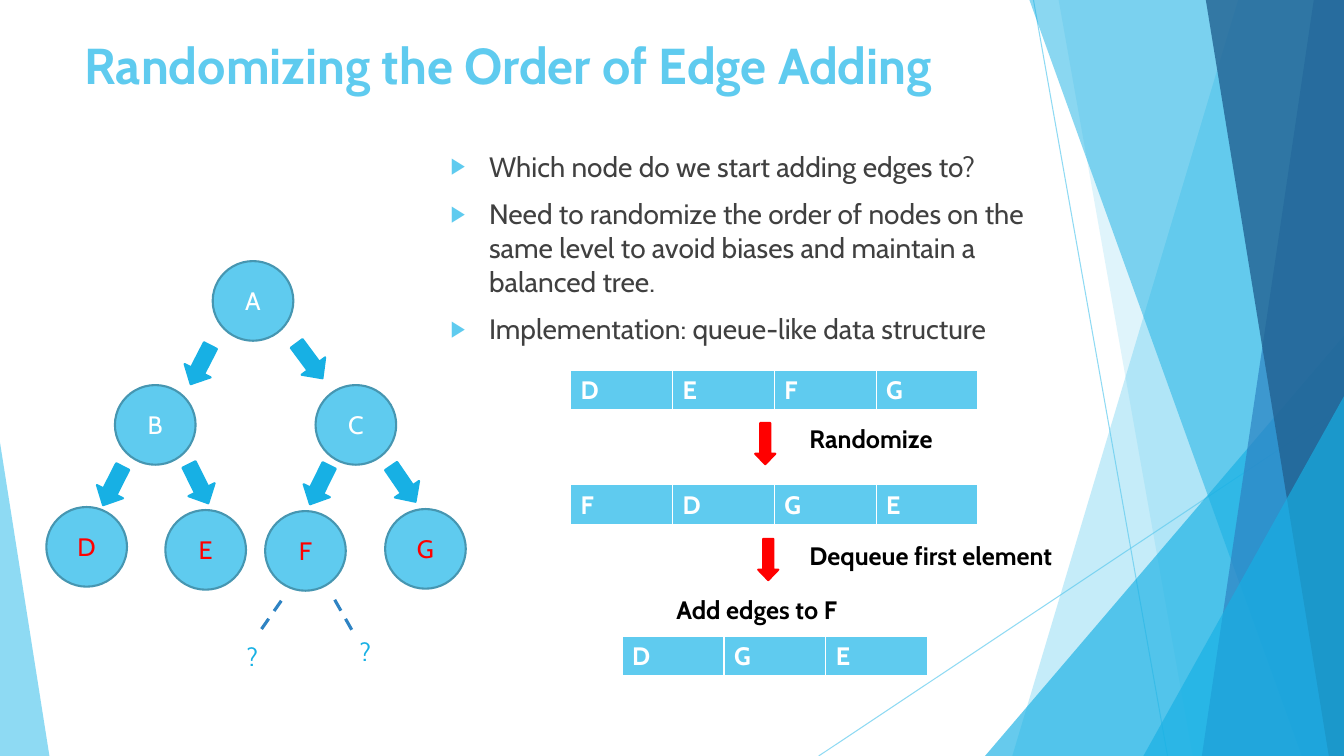
from lxml import etree
from pptx import Presentation
from pptx.dml.color import RGBColor
from pptx.enum.dml import MSO_LINE
from pptx.enum.shapes import MSO_CONNECTOR, MSO_SHAPE
from pptx.enum.text import MSO_ANCHOR, MSO_AUTO_SIZE, PP_ALIGN
from pptx.oxml.ns import qn
from pptx.util import Inches, Pt

CIRCLE = MSO_SHAPE.OVAL
TRIANGLE = MSO_SHAPE.ISOSCELES_TRIANGLE
LEFT_ARROW = MSO_SHAPE.LEFT_ARROW
STRAIGHT = MSO_CONNECTOR.STRAIGHT
DASH = MSO_LINE.DASH
CENTER = PP_ALIGN.CENTER
TOP, MIDDLE = MSO_ANCHOR.TOP, MSO_ANCHOR.MIDDLE
NO_AUTOFIT = MSO_AUTO_SIZE.NONE

SKY = RGBColor(0x5F, 0xCB, 0xEF)
CYAN = RGBColor(0x17, 0xB0, 0xE4)
BLUE = RGBColor(0x2E, 0x83, 0xC3)
NAVY = RGBColor(0x22, 0x62, 0x92)
RIM = RGBColor(0x46, 0x96, 0xB1)
RED = RGBColor(0xFF, 0x00, 0x00)
GRAY = RGBColor(0x40, 0x40, 0x40)
BLACK = RGBColor(0x00, 0x00, 0x00)
WHITE = RGBColor(0xFF, 0xFF, 0xFF)

FONT = "Cabin"
COLUMNS, ROWS = 13.33, 7.5
NODE_WIDTH, NODE_HEIGHT = 0.8, 0.79
CELL_WIDTH, CELL_HEIGHT = 1.01, 0.39
LABEL_HEIGHT = 0.4

BULLETS = (
    "Which node do we start adding edges to?",
    "Need to randomize the order of nodes on the same level to avoid biases "
    "and maintain a balanced tree.",
    "Implementation: queue-like data structure",
)
NODES = (
    ("A", 2.11, 2.59, WHITE), ("B", 1.14, 3.82, WHITE), ("C", 3.13, 3.82, WHITE),
    ("D", 0.46, 5.03, RED), ("E", 1.64, 5.06, RED),
    ("F", 2.63, 5.07, RED), ("G", 3.82, 5.05, RED),
)
TREE_ARROWS = (
    (3.07, 3.58, 233.5), (1.99, 3.62, 297.2), (4.0, 4.8, 235.6),
    (3.17, 4.81, 296.3), (1.97, 4.8, 243.6), (1.12, 4.82, 296.9),
)
QUEUES = (("DEFG", 5.66, 3.67), ("FDGE", 5.66, 4.81), ("DGE", 6.17, 6.31))
QUEUE_ARROWS = ((7.59, 4.4), (7.62, 5.55))
STEPS = (
    ("Randomize", 7.93, 4.15, 1.5),
    ("Dequeue first element", 7.93, 5.31, 2.86),
    ("Add edges to F", 6.61, 5.85, 1.94),
)
OPEN_EDGES = ((2.79, 5.96, 2.58, 6.26), (3.32, 5.95, 3.49, 6.25))
UNKNOWNS = ((2.35, 6.31), (3.47, 6.26))


def grid(*cells):
    """Turn grid columns and rows, one inch each, into lengths."""
    return [Inches(cell) for cell in cells]


def write_text(paragraph, text, size=18, color=BLACK, bold=False, align=None):
    """Add formatted text to a paragraph."""
    run = paragraph.add_run()
    run.text = text
    run.font.name = FONT
    run.font.size = Pt(size)
    run.font.bold = bold
    run.font.color.rgb = color
    if align is not None:
        paragraph.alignment = align


def set_opacity(shape, percent):
    """Make the colours of a shape translucent."""
    for color in shape.element.iter(qn("a:srgbClr")):
        etree.SubElement(color, qn("a:alpha"), val=str(percent * 1000))


def paint(shape, fill, line=None):
    """Fill a shape and outline it, or leave it without an outline."""
    shape.shadow.inherit = False
    shape.fill.solid()
    shape.fill.fore_color.rgb = fill
    if line is None:
        shape.line.fill.background()
    else:
        shape.line.color.rgb = line
        shape.line.width = Pt(1.5)


def add_line(slide, ends, color, width):
    """Draw a straight line between two grid points."""
    line = slide.shapes.add_connector(STRAIGHT, *grid(*ends))
    line.line.color.rgb = color
    line.line.width = Pt(width)
    etree.SubElement(line.element.spPr, qn("a:effectLst"))
    return line


def add_facet(slide, top_x, bottom_x, color, opacity):
    """Draw a slanted panel that reaches the right edge of the slide."""
    builder = slide.shapes.build_freeform(*grid(top_x, 0), scale=1.0)
    corners = ((COLUMNS, 0), (COLUMNS, ROWS), (bottom_x, ROWS))
    builder.add_line_segments([grid(*corner) for corner in corners], close=True)
    facet = builder.convert_to_shape()
    paint(facet, color)
    set_opacity(facet, opacity)


def add_corner(slide, left, top, width, apex, color, opacity):
    """Draw a right triangle that stands on the bottom edge."""
    corner = slide.shapes.add_shape(TRIANGLE, *grid(left, top, width, ROWS - top))
    corner.adjustments[0] = apex
    paint(corner, color)
    set_opacity(corner, opacity)


def add_backdrop(slide):
    """Draw the translucent panels along the slide's edges."""
    for ends in ((10.25, 0, 11.58, ROWS), (COLUMNS, 4.03, 8.12, ROWS)):
        set_opacity(add_line(slide, ends, SKY, 0.75), 70)
    add_facet(slide, 12.28, 10.04, SKY, 36)
    add_facet(slide, 10.5, 11.83, SKY, 20)
    add_corner(slide, 9.77, 3.33, 3.56, 1, CYAN, 66)
    add_facet(slide, 10.21, 12.91, CYAN, 50)
    add_facet(slide, 13.03, 11.92, BLUE, 70)
    add_facet(slide, 11.96, 13.18, NAVY, 80)
    add_corner(slide, 11.34, 3.93, 1.99, 1, CYAN, 66)
    add_corner(slide, 0, 4.39, 0.49, 0, SKY, 70)


def place(placeholder, *cells):
    """Move a placeholder onto the grid and return its text frame."""
    (placeholder.left, placeholder.top,
     placeholder.width, placeholder.height) = grid(*cells)
    frame = placeholder.text_frame
    frame.auto_size = NO_AUTOFIT
    frame.vertical_anchor = TOP
    return frame


def add_bullet(paragraph):
    """Give a paragraph a hanging triangular bullet."""
    properties = paragraph._p.get_or_add_pPr()
    properties.set("marL", str(Inches(0.38)))
    properties.set("indent", str(Inches(-0.38)))
    color = etree.SubElement(properties, qn("a:buClr"))
    etree.SubElement(color, qn("a:srgbClr"), val=str(SKY))
    etree.SubElement(properties, qn("a:buSzPct"), val="80000")
    etree.SubElement(properties, qn("a:buChar"), char="▶")


def fill_placeholders(slide):
    """Write the title and the bullet list."""
    title = place(slide.shapes.title, 0.74, 0.29, 9.4, 0.85)
    write_text(title.paragraphs[0], "Randomizing the Order of Edge Adding",
               size=36, color=SKY, bold=True, align=PP_ALIGN.LEFT)
    body = place(slide.placeholders[1], 4.37, 1.43, 6.52, 2.06)
    for index, bullet in enumerate(BULLETS):
        paragraph = body.add_paragraph() if index else body.paragraphs[0]
        add_bullet(paragraph)
        paragraph.space_before = Pt(10 if index else 0)
        write_text(paragraph, bullet, size=20, color=GRAY)


def add_node(slide, name, left, top, color):
    """Draw a tree node with its letter."""
    node = slide.shapes.add_shape(CIRCLE, *grid(left, top, NODE_WIDTH, NODE_HEIGHT))
    paint(node, SKY, RIM)
    node.text_frame.vertical_anchor = MIDDLE
    write_text(node.text_frame.paragraphs[0], name, color=color, align=CENTER)


def add_arrow(slide, x, y, rotation, color, length, breadth):
    """Draw a turned block arrow around its centre."""
    arrow = slide.shapes.add_shape(
        LEFT_ARROW, *grid(x - length / 2, y - breadth / 2, length, breadth))
    arrow.adjustments[1] = 0.52
    arrow.rotation = rotation
    paint(arrow, color, color)


def add_borders(cell):
    """Give a cell white borders with a heavier bottom."""
    properties = cell._tc.get_or_add_tcPr()
    for index, (side, width) in enumerate((("L", 1), ("R", 1), ("T", 1), ("B", 3))):
        border = etree.Element(qn(f"a:ln{side}"), w=str(Pt(width)))
        fill = etree.SubElement(border, qn("a:solidFill"))
        etree.SubElement(fill, qn("a:srgbClr"), val=str(WHITE))
        properties.insert(index, border)


def add_queue(slide, names, left, top):
    """Draw a queue as a table of one row."""
    size = grid(left, top, CELL_WIDTH * len(names), CELL_HEIGHT)
    queue = slide.shapes.add_table(1, len(names), *size).table
    for cell, name in zip(queue.rows[0].cells, names):
        cell.fill.solid()
        cell.fill.fore_color.rgb = SKY
        add_borders(cell)
        write_text(cell.text_frame.paragraphs[0], name, color=WHITE, bold=True)


def add_label(slide, text, left, top, width, wrap=False, **text_format):
    """Place a line of text on the grid."""
    label = slide.shapes.add_textbox(*grid(left, top, width, LABEL_HEIGHT))
    label.text_frame.word_wrap = wrap
    write_text(label.text_frame.paragraphs[0], text, **text_format)


def main():
    """Build the slide and save it."""
    deck = Presentation()
    deck.slide_width, deck.slide_height = grid(COLUMNS, ROWS)
    slide = deck.slides.add_slide(deck.slide_layouts[1])
    add_backdrop(slide)
    fill_placeholders(slide)
    for node in NODES:
        add_node(slide, *node)
    for arrow in TREE_ARROWS:
        add_arrow(slide, *arrow, CYAN, 0.43, 0.29)
    for queue in QUEUES:
        add_queue(slide, *queue)
    for x, y in QUEUE_ARROWS:
        add_arrow(slide, x, y, 270, RED, 0.41, 0.2)
    for step in STEPS:
        add_label(slide, *step, bold=True)
    for ends in OPEN_EDGES:
        add_line(slide, ends, BLUE, 2.25).line.dash_style = DASH
    for left, top in UNKNOWNS:
        add_label(slide, "?", left, top, 0.3, wrap=True, color=CYAN)
    deck.save("out.pptx")


if __name__ == "__main__":
    main()
